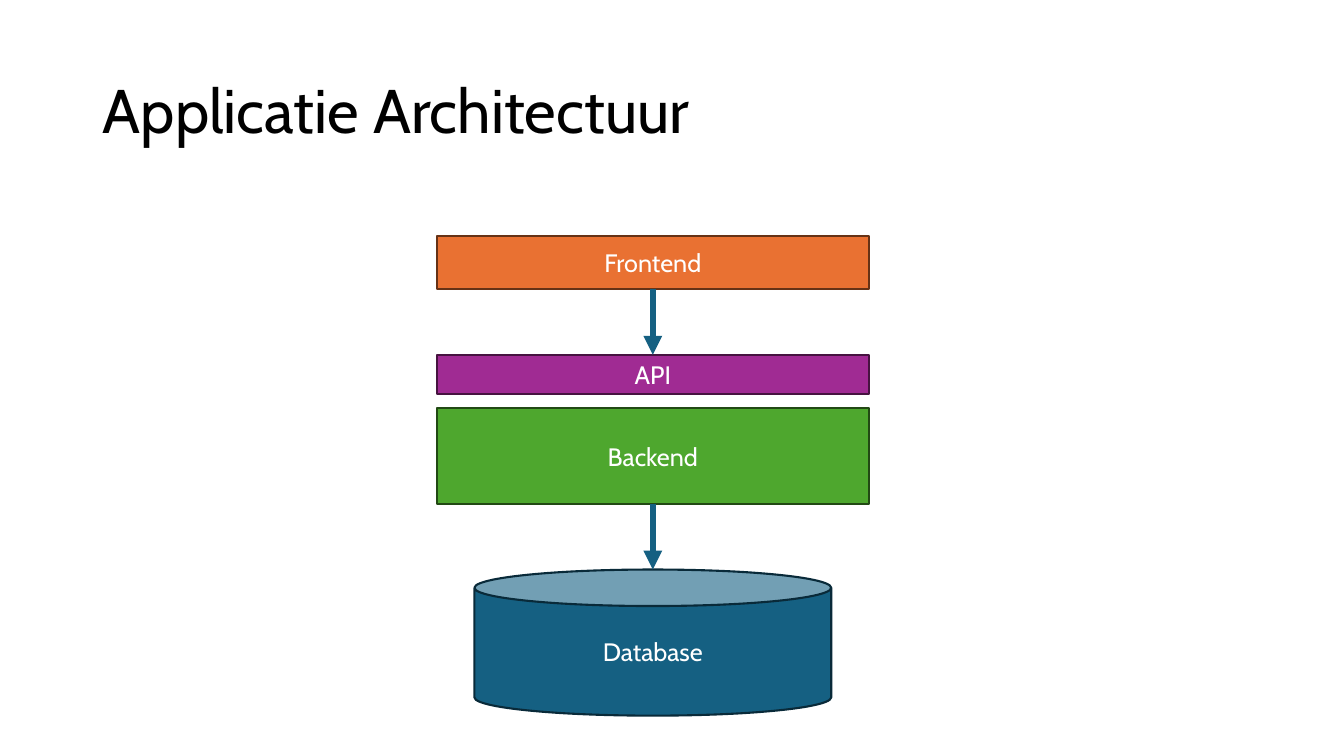
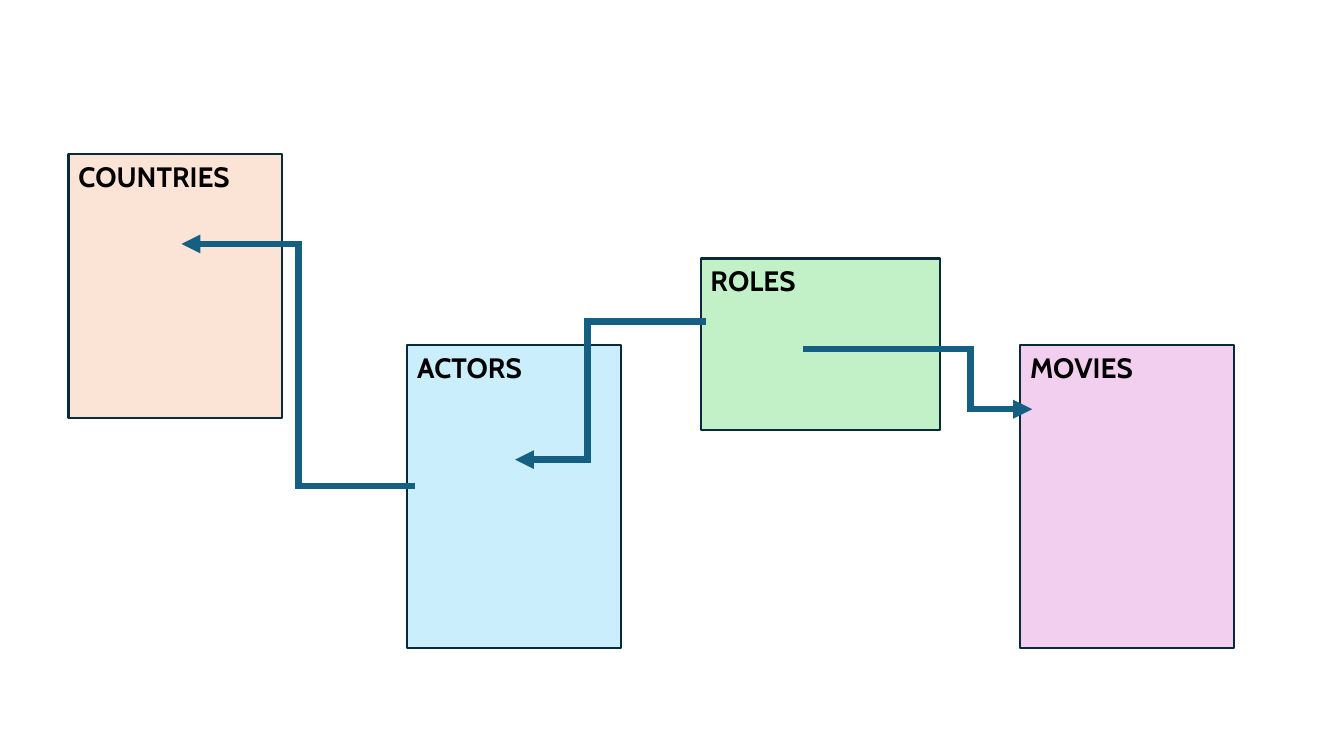
from dataclasses import dataclass

from lxml import etree
from pptx import Presentation
from pptx import util as u
from pptx.dml.color import RGBColor
from pptx.enum import shapes, text
from pptx.oxml import ns

FONT = "Cabin"
COLOURS = {
    "black": "000000", "white": "FFFFFF",
    "blue": "156082", "navy": "092A39",
    "green": "4EA72E", "dark green": "224914",
    "purple": "A02B93", "dark purple": "461340",
    "orange": "E97132", "dark orange": "663216",
    "pale orange": "FBE3D6", "pale blue": "CAEEFB",
    "pale green": "C2F1C8", "pale purple": "F2CFEE",
}
COLUMNS, ROWS = 40, 30
WIDTH, HEIGHT = u.Inches(40 / 3), u.Inches(7.5)
STACK_CENTRE = 19.43
LABEL_HEIGHT = 1.76
HALF_TURN = "10800000"


@dataclass(frozen=True)
class Layer:
    """One block of the architecture stack, centred on STACK_CENTRE."""
    name: str
    row: float
    columns: float
    rows: float
    fill: str
    line: str
    preset: shapes.MSO_SHAPE = shapes.MSO_SHAPE.RECTANGLE

    @property
    def bottom(self) -> float:
        return self.row + self.rows


@dataclass(frozen=True)
class Entity:
    name: str
    column: float
    row: float
    columns: float
    rows: float
    fill: str
    label_columns: float


@dataclass(frozen=True)
class Link:
    """An arrow; bend is the share of its width before an elbow turns."""
    start: tuple[float, float]
    end: tuple[float, float]
    bend: float | None = None


FRONTEND = Layer("Frontend", 9.36, 12.87, 2.12, "orange", "dark orange")
API = Layer("API", 14.08, 12.87, 1.56, "purple", "dark purple")
BACKEND = Layer("Backend", 16.2, 12.87, 3.8, "green", "dark green")
DATABASE = Layer("Database", 22.6, 10.62, 5.8, "blue", "navy", shapes.MSO_SHAPE.CAN)
LAYERS = [FRONTEND, API, BACKEND, DATABASE]
CALLS = [(FRONTEND, API), (BACKEND, DATABASE)]

ENTITIES = [
    Entity("COUNTRIES", 2.04, 6.12, 6.36, 10.48, "pale orange", 5.19),
    Entity("ACTORS", 12.12, 13.7, 6.36, 12, "pale blue", 3.75),
    Entity("MOVIES", 30.36, 13.7, 6.36, 12, "pale purple", 3.66),
    Entity("ROLES", 20.85, 10.26, 7.14, 6.8, "pale green", 3.15),
]
RELATIONS = [
    Link((12.36, 19.28), (5.4, 9.68), 0.5),
    Link((23.91, 13.84), (30.72, 16.24), 0.73),
    Link((21, 12.76), (15.33, 18.24), 0.62),
]


def across(columns: float) -> u.Emu:
    return u.Emu(round(columns * WIDTH / COLUMNS))


def down(rows: float) -> u.Emu:
    return u.Emu(round(rows * HEIGHT / ROWS))


def box(column: float, row: float, columns: float, rows: float) -> tuple:
    return across(column), down(row), across(columns), down(rows)


def rgb(name: str) -> RGBColor:
    return RGBColor.from_string(COLOURS[name])


def add_run(paragraph, words: str, size: float, colour: str, bold: bool = False) -> None:
    run = paragraph.add_run()
    run.text = words
    run.font.name = FONT
    run.font.size = u.Pt(size)
    run.font.bold = bold
    run.font.color.rgb = rgb(colour)


def add_title(slide, words: str) -> None:
    title = slide.shapes.title
    title.left, title.top, title.width, title.height = box(2.76, 1.6, 34.5, 5.8)
    frame = title.text_frame
    frame.auto_size = text.MSO_AUTO_SIZE.NONE
    frame.vertical_anchor = text.MSO_ANCHOR.MIDDLE
    paragraph = frame.paragraphs[0]
    paragraph.alignment = text.PP_ALIGN.LEFT
    paragraph.line_spacing = 0.9
    add_run(paragraph, words, 44, "black")


def add_block(slide, preset: shapes.MSO_SHAPE, bounds: tuple, fill: str, line: str):
    shape = slide.shapes.add_shape(preset, *bounds)
    shape.shadow.inherit = False
    shape.fill.solid()
    shape.fill.fore_color.rgb = rgb(fill)
    shape.line.color.rgb = rgb(line)
    shape.line.width = u.Pt(1.5)
    return shape


def add_layer(slide, layer: Layer) -> None:
    bounds = box(STACK_CENTRE - layer.columns / 2, layer.row, layer.columns, layer.rows)
    shape = add_block(slide, layer.preset, bounds, layer.fill, layer.line)
    shape.text_frame.vertical_anchor = text.MSO_ANCHOR.MIDDLE
    paragraph = shape.text_frame.paragraphs[0]
    paragraph.alignment = text.PP_ALIGN.CENTER
    add_run(paragraph, layer.name, 18, "white")


def add_entity(slide, entity: Entity) -> None:
    bounds = box(entity.column, entity.row, entity.columns, entity.rows)
    add_block(slide, shapes.MSO_SHAPE.RECTANGLE, bounds, entity.fill, "navy")
    label = slide.shapes.add_textbox(
        *box(entity.column, entity.row, entity.label_columns, LABEL_HEIGHT))
    label.text_frame.word_wrap = False
    label.text_frame.auto_size = text.MSO_AUTO_SIZE.SHAPE_TO_FIT_TEXT
    add_run(label.text_frame.paragraphs[0], entity.name, 20, "black", bold=True)


def set_bend(properties, bend: float) -> None:
    """Place the elbow, writing a leftward connector as a half turn."""
    guides = properties.find(ns.qn("a:prstGeom")).get_or_add_avLst()
    etree.SubElement(guides, ns.qn("a:gd"), name="adj1", fmla=f"val {round(bend * 100000)}")
    transform = properties.find(ns.qn("a:xfrm"))
    if transform.attrib.pop("flipH", None):
        transform.set("rot", HALF_TURN)
        if not transform.attrib.pop("flipV", None):
            transform.set("flipV", "1")


def add_link(slide, link: Link) -> None:
    kind = shapes.MSO_CONNECTOR.STRAIGHT if link.bend is None else shapes.MSO_CONNECTOR.ELBOW
    (start_column, start_row), (end_column, end_row) = link.start, link.end
    connector = slide.shapes.add_connector(
        kind, across(start_column), down(start_row), across(end_column), down(end_row))
    connector.line.color.rgb = rgb("blue")
    connector.line.width = u.Pt(4.5)
    properties = connector._element.spPr
    line = properties.find(ns.qn("a:ln"))
    etree.SubElement(line, ns.qn("a:miter"), lim="800000")
    etree.SubElement(line, ns.qn("a:tailEnd"), type="triangle")
    etree.SubElement(properties, ns.qn("a:effectLst"))
    if link.bend is not None:
        set_bend(properties, link.bend)


def build_architecture(presentation) -> None:
    slide = presentation.slides.add_slide(presentation.slide_layouts.get_by_name("Title Only"))
    add_title(slide, "Applicatie Architectuur")
    for layer in LAYERS:
        add_layer(slide, layer)
    for caller, called in CALLS:
        add_link(slide, Link((STACK_CENTRE, caller.bottom), (STACK_CENTRE, called.row)))


def build_data_model(presentation) -> None:
    slide = presentation.slides.add_slide(presentation.slide_layouts.get_by_name("Blank"))
    for entity in ENTITIES:
        add_entity(slide, entity)
    for relation in RELATIONS:
        add_link(slide, relation)


def main() -> None:
    presentation = Presentation()
    presentation.slide_width, presentation.slide_height = WIDTH, HEIGHT
    build_architecture(presentation)
    build_data_model(presentation)
    presentation.save("out.pptx")


if __name__ == "__main__":
    main()
